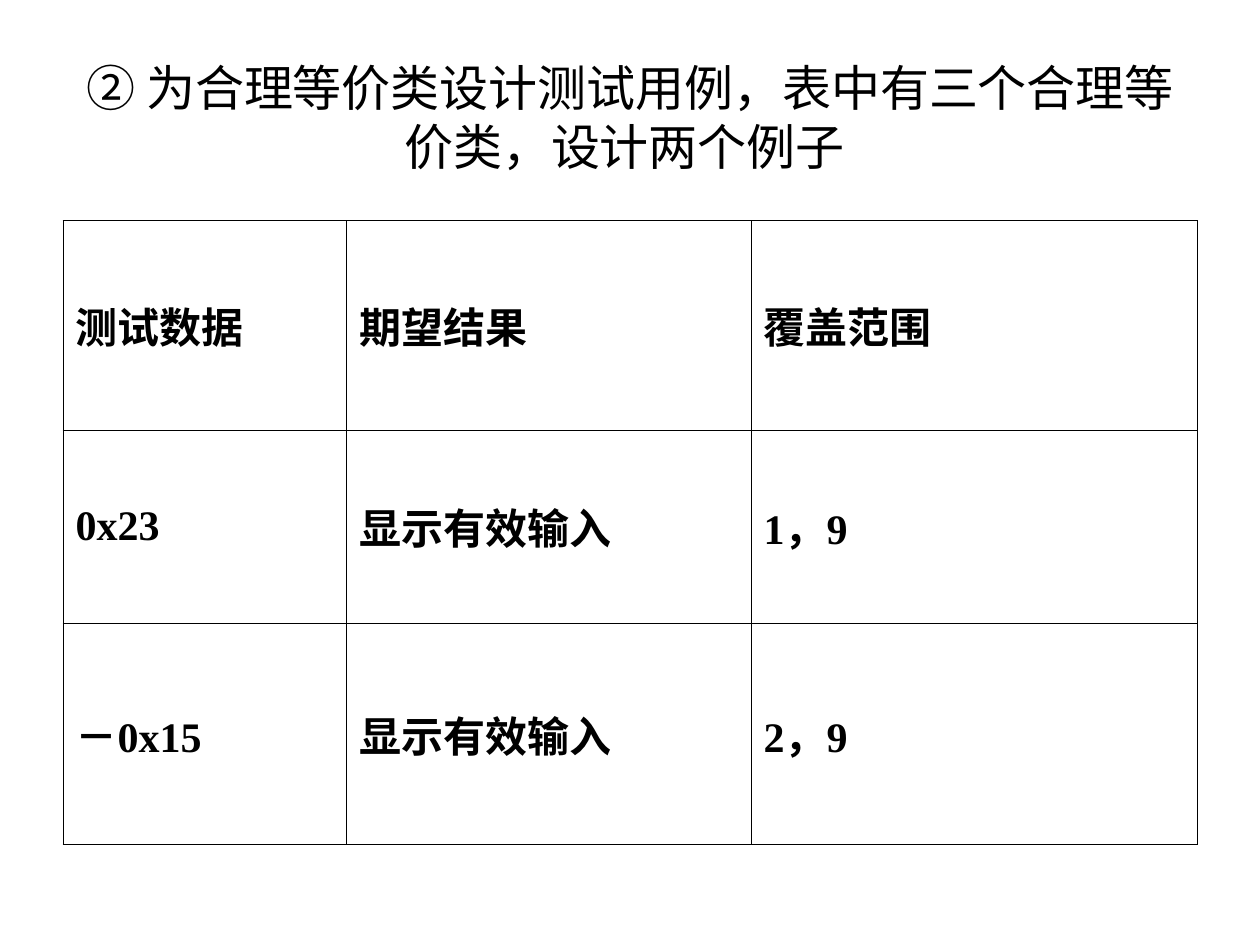
from lxml import etree
from pptx import Presentation, util as u
from pptx.dml.color import RGBColor
from pptx.enum import text
from pptx.oxml import ns

THEME = {
    "ink": "000000",
    "title": {"name": "Arial", "size": u.Pt(28), "bold": False},
    "table": {"name": "Times New Roman", "size": u.Pt(24), "bold": True},
    "border": u.Pt(0.45),
}


def write(para, words, style):
    span = para.add_run()
    span.text = words
    for key, value in THEME[style].items():
        setattr(span.font, key, value)
    span.font.color.rgb = RGBColor.from_string(THEME["ink"])


def add_borders(cell):
    props = cell._tc.get_or_add_tcPr()
    for place, side in enumerate(("lnL", "lnR", "lnT", "lnB")):
        line = etree.Element(ns.qn(f"a:{side}"), w=str(THEME["border"]))
        fill = etree.SubElement(line, ns.qn("a:solidFill"))
        etree.SubElement(fill, ns.qn("a:srgbClr"), val=THEME["ink"])
        props.insert(place, line)


deck = Presentation()
deck.slide_width, deck.slide_height = u.Cm(25.4), u.Cm(19.05)
page = deck.slides.add_slide(deck.slide_layouts[6])

# Heading
box = page.shapes.add_textbox(u.Cm(1.27), u.Cm(0.76), u.Cm(22.86), u.Cm(3.18))
frame_format = {"word_wrap": True, "vertical_anchor": text.MSO_ANCHOR.MIDDLE}
for key, value in frame_format.items():
    setattr(box.text_frame, key, value)
heading = box.text_frame.paragraphs[0]
heading.alignment = text.PP_ALIGN.CENTER
write(heading, "② 为合理等价类设计测试用例，表中有三个合理等价类，设计两个例子 ", "title")

# Test case table
cases = [
    ("测试数据", "期望结果", "覆盖范围"),
    ("0x23", "显示有效输入", "1，9"),
    ("－0x15", "显示有效输入", "2，9"),
]
widths = (5.72, 8.15, 8.99)
heights = (4.22, 3.89, 4.47)
table = page.shapes.add_table(
    len(heights), len(widths), u.Cm(1.27), u.Cm(4.45),
    u.Cm(sum(widths)), u.Cm(sum(heights)),
).table
table.first_row = table.horz_banding = False
for column, width in zip(table.columns, widths):
    column.width = u.Cm(width)
for row, height in zip(table.rows, heights):
    row.height = u.Cm(height)

# Cell text, plain fill and thin borders
for row, case in zip(table.rows, cases):
    for cell, words in zip(row.cells, case):
        cell.vertical_anchor = text.MSO_ANCHOR.MIDDLE
        cell.fill.background()
        add_borders(cell)
        para = cell.text_frame.paragraphs[0]
        indent = para._p.get_or_add_pPr()
        indent.set("marL", str(u.Cm(0.95)))
        indent.set("indent", str(u.Cm(-0.95)))
        write(para, words, "table")

deck.save("out.pptx")
